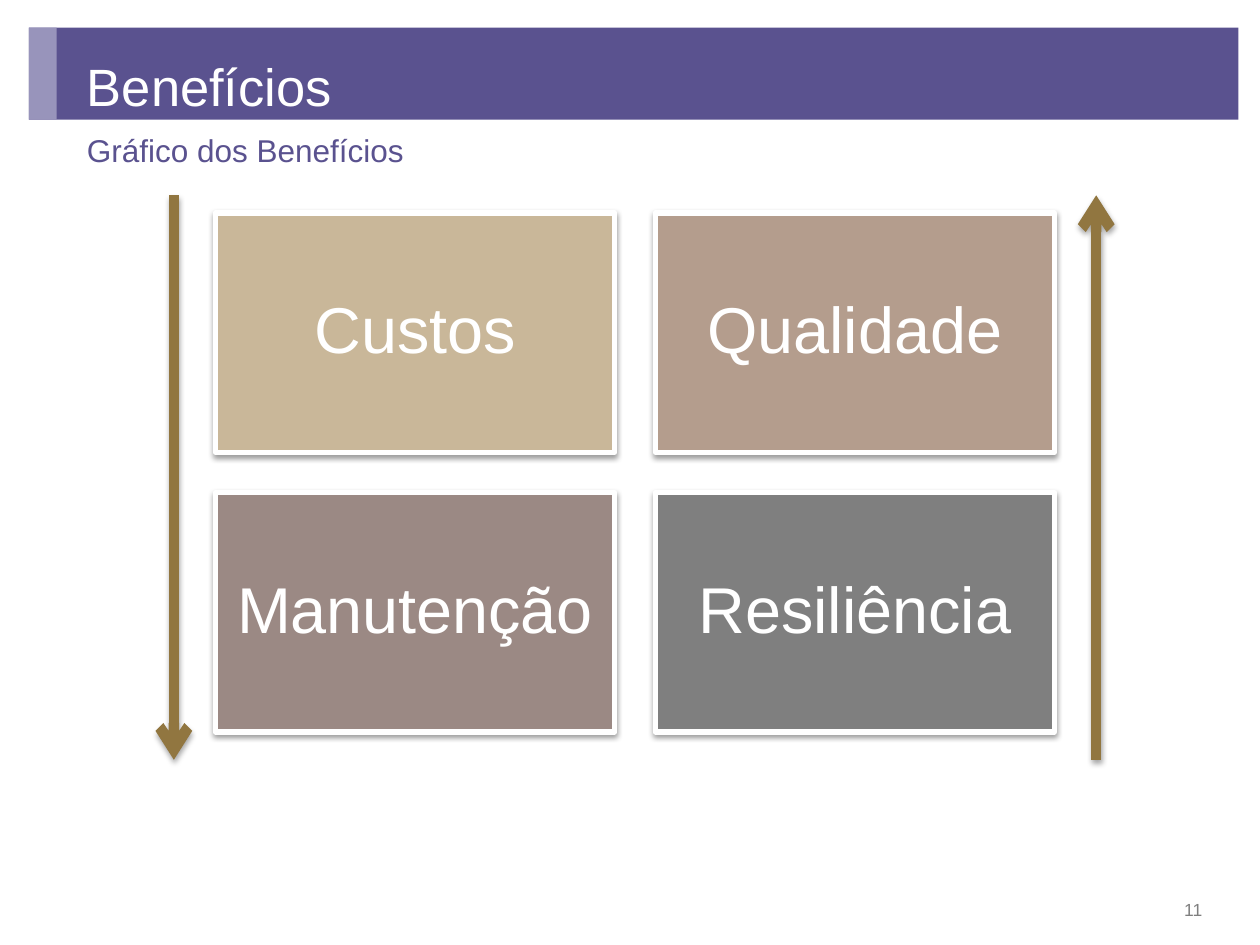
from lxml import etree
from pptx import Presentation
from pptx import util as u
from pptx.dml.color import RGBColor
from pptx.enum import shapes, text
from pptx.oxml.ns import qn

SCALE = 9144  # EMU per px, at 100 px to the inch

THEME = {
    "font": "Arial",
    "purple": RGBColor.from_string("5A528F"),
    "lilac": RGBColor.from_string("9894BB"),
    "gold": RGBColor.from_string("917640"),
    "white": RGBColor.from_string("FFFFFF"),
    "gray": RGBColor.from_string("7F7F7F"),
    "title": 30, "subtitle": 18, "card": 37, "number": 10,
}


def write(shape, words, size, color, frame_format, para_format):
    """Put one formatted paragraph into a shape."""
    frame = shape.text_frame
    frame.text = words
    frame.word_wrap = True
    for name, value in frame_format.items():
        setattr(frame, name, value)
    para = frame.paragraphs[0]
    for name, value in para_format.items():
        setattr(para, name, value)
    font = {"name": THEME["font"], "size": u.Pt(THEME[size]), "bold": False}
    for span in para.runs:
        for name, value in font.items():
            setattr(span.font, name, value)
        span.font.color.rgb = color
    return para


def add_shadow(shape, distance, opacity):
    """Give a shape or connector a soft shadow straight below."""
    effects = etree.SubElement(shape._element.spPr, qn("a:effectLst"))
    shadow = etree.SubElement(effects, qn("a:outerShdw"), blurRad=str(u.Pt(3.1)),
                              dist=str(u.Pt(distance)), dir="5400000", rotWithShape="0")
    black = etree.SubElement(shadow, qn("a:srgbClr"), val="000000")
    etree.SubElement(black, qn("a:alpha"), val=str(opacity * 1000))


deck = Presentation()
deck.slide_width, deck.slide_height = 1000 * SCALE, 750 * SCALE
page = deck.slides.add_slide(deck.slide_layouts[1])

# Header band and its accent, behind the title
for layer, (width, color) in enumerate([(960, "purple"), (22, "lilac")]):
    band = page.shapes.add_shape(shapes.MSO_SHAPE.RECTANGLE, 23 * SCALE, 22 * SCALE,
                                 width * SCALE, 73 * SCALE)
    band.shadow.inherit = False
    band.fill.solid()
    band.fill.fore_color.rgb = THEME[color]
    band.line.fill.background()
    page.shapes._spTree.insert(2 + layer, band._element)

# Title and subtitle
title, subtitle = page.placeholders
for holder, (left, top, width, height) in [(title, (59, 33, 825, 70)),
                                           (subtitle, (59, 102, 824, 38))]:
    holder.left, holder.top = left * SCALE, top * SCALE
    holder.width, holder.height = width * SCALE, height * SCALE
write(title, "Benefícios", "title", THEME["white"],
      {"vertical_anchor": text.MSO_ANCHOR.MIDDLE, "auto_size": text.MSO_AUTO_SIZE.NONE},
      {"alignment": text.PP_ALIGN.LEFT})
line = write(subtitle, "Gráfico dos Benefícios", "subtitle", THEME["purple"],
             {"vertical_anchor": text.MSO_ANCHOR.TOP, "auto_size": text.MSO_AUTO_SIZE.NONE},
             {"line_spacing": 0.93, "space_before": u.Pt(0)})
properties = line._p.get_or_add_pPr()
properties.set("marL", "0")
properties.set("indent", "0")
etree.SubElement(properties, qn("a:buNone"))

# Two by two grid of benefits
cards = [("Custos", "C9B799"), ("Qualidade", "B49D8D"),
         ("Manutenção", "9B8984"), ("Resiliência", "7F7F7F")]
card_width, card_height, gap = 317, 190, 32
margins = ("margin_left", "margin_top", "margin_right", "margin_bottom")
card_frame = {name: 15 * SCALE for name in margins}
card_frame["vertical_anchor"] = text.MSO_ANCHOR.MIDDLE
for index, (words, color) in enumerate(cards):
    row, column = divmod(index, 2)
    card = page.shapes.add_shape(
        shapes.MSO_SHAPE.RECTANGLE,
        (171 + column * (card_width + gap)) * SCALE,
        (169 + row * (card_height + gap)) * SCALE,
        card_width * SCALE, card_height * SCALE)
    card.fill.solid()
    card.fill.fore_color.rgb = RGBColor.from_string(color)
    card.line.color.rgb = THEME["white"]
    card.line.width = u.Pt(3)
    add_shadow(card, 1.6, 38)
    write(card, words, "card", THEME["white"], card_frame,
          {"alignment": text.PP_ALIGN.CENTER, "line_spacing": 0.9})

# Falling arrow on the left, rising arrow on the right
for x, start, end in [(138, 155, 603), (870, 603, 155)]:
    arrow = page.shapes.add_connector(shapes.MSO_CONNECTOR.STRAIGHT, x * SCALE,
                                      start * SCALE, x * SCALE, end * SCALE)
    arrow.line.color.rgb = THEME["gold"]
    arrow.line.width = u.Pt(6)
    etree.SubElement(arrow.line._ln, qn("a:tailEnd"), type="arrow")
    add_shadow(arrow, 1.8, 35)

# Page number
number = page.shapes.add_textbox(867 * SCALE, 695 * SCALE, 97 * SCALE, 40 * SCALE)
write(number, "11", "number", THEME["gray"],
      {"vertical_anchor": text.MSO_ANCHOR.BOTTOM},
      {"alignment": text.PP_ALIGN.RIGHT, "line_spacing": u.Pt(12)})

deck.save("out.pptx")
